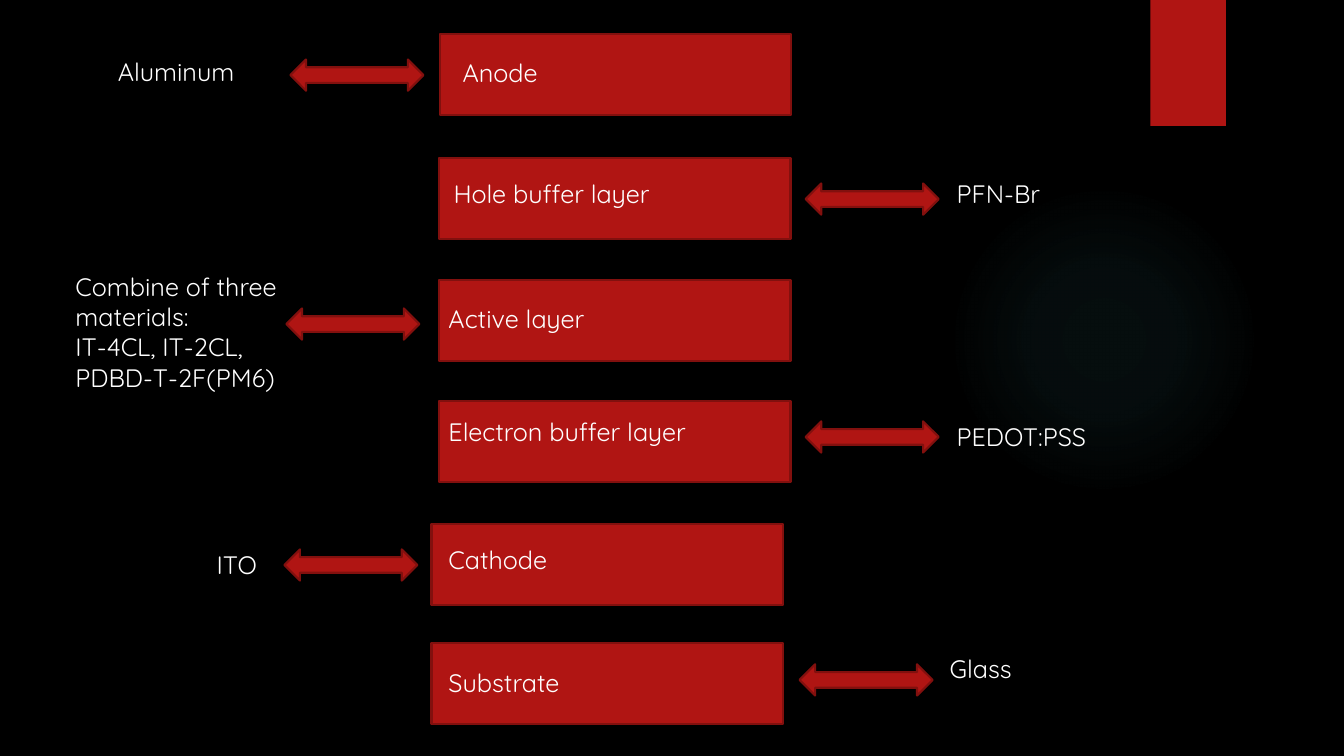
from lxml import etree
from pptx import Presentation
from pptx.dml.color import RGBColor
from pptx.enum import shapes, text
from pptx.oxml import ns
from pptx.util import Inches, Pt

BLACK = RGBColor(0x00, 0x00, 0x00)
WHITE = RGBColor(0xFF, 0xFF, 0xFF)
RED = RGBColor(0xB0, 0x15, 0x13)
DARK = RGBColor(0x82, 0x10, 0x0E)
TEAL = RGBColor(0x50, 0xB9, 0xC1)
FONT = "Quicksand"

# Each layer: name, bar (left, top), name (left, top), arrow (left, top),
# material paragraphs, material (left, top, width)
LAYERS = [
    ("Anode", (4.36, 0.34), (4.49, 0.52), (2.88, 0.59),
     ["Aluminum"], (1.07, 0.51, 1.81)),
    ("Hole buffer layer", (4.35, 1.57), (4.4, 1.72), (7.99, 1.82),
     ["PFN-Br"], (9.39, 1.72, 2.96)),
    ("Active layer", (4.35, 2.78), (4.35, 2.96), (2.84, 3.06),
     ["Combine of three materials:", "IT-4CL, IT-2CL, PDBD-T-2F(PM6)"],
     (0.65, 2.64, 2.25)),
    ("Electron buffer layer", (4.35, 3.98), (4.35, 4.08), (7.99, 4.18),
     ["PEDOT:PSS"], (9.39, 4.13, 2.46)),
    ("Cathode", (4.28, 5.2), (4.35, 5.35), (2.82, 5.45),
     ["ITO"], (2.05, 5.4, 2.15)),
    ("Substrate", (4.28, 6.38), (4.35, 6.57), (7.93, 6.59),
     ["Glass"], (9.32, 6.43, 2.06)),
]
BAR = (3.49, 0.8)
ARROW = (1.32, 0.31)
NAME_W = 3.1
LINE_H = 0.4
GLOW = (9.41, 1.83, 3.08, 3.08)
GLOW_STOPS = [(0, 7), (36, 6), (69, 0)]  # position and opacity, percent
TAB = (11.41, 0, 0.75, 1.25)

KIND = shapes.MSO_SHAPE


def add_form(slide, kind, box, line=DARK):
    form = slide.shapes.add_shape(kind, *map(Inches, box))
    form.shadow.inherit = False
    form.fill.solid()
    form.fill.fore_color.rgb = RED
    if line is None:
        form.line.fill.background()
    else:
        form.line.color.rgb = line
        form.line.width = Pt(1.5)
    return form


def add_text(slide, box, lines):
    frame = slide.shapes.add_textbox(*map(Inches, box)).text_frame
    frame.word_wrap = True
    frame.auto_size = text.MSO_AUTO_SIZE.SHAPE_TO_FIT_TEXT
    frame.text = "\n".join(lines)
    for para in frame.paragraphs:
        para.font.name = FONT
        para.font.size = Pt(18)
        para.font.color.rgb = WHITE


def add_glow(slide):
    """Add a circle that fades out from its centre."""
    glow = add_form(slide, KIND.OVAL, GLOW, None)
    glow.fill.gradient()
    grad = glow.fill._fill._gradFill
    for child in list(grad):
        grad.remove(child)
    stops = etree.SubElement(grad, ns.qn("a:gsLst"))
    for pos, alpha in GLOW_STOPS:
        stop = etree.SubElement(stops, ns.qn("a:gs"), pos=str(pos * 1000))
        tint = etree.SubElement(stop, ns.qn("a:srgbClr"), val=str(TEAL))
        etree.SubElement(tint, ns.qn("a:alpha"), val=str(alpha * 1000))
    ring = etree.SubElement(grad, ns.qn("a:path"), path="circle")
    etree.SubElement(ring, ns.qn("a:fillToRect"),
                     l="50000", t="50000", r="50000", b="50000")


def main():
    deck = Presentation()
    deck.slide_width, deck.slide_height = Inches(13.33), Inches(7.5)
    slide = deck.slides.add_slide(deck.slide_layouts[6])
    slide.background.fill.solid()
    slide.background.fill.fore_color.rgb = BLACK

    add_glow(slide)
    add_form(slide, KIND.RECTANGLE, TAB, None)
    for name, bar, label, arrow, stuff, (left, top, width) in LAYERS:
        add_form(slide, KIND.RECTANGLE, bar + BAR)
        add_text(slide, label + (NAME_W, LINE_H), [name])
        add_form(slide, KIND.LEFT_RIGHT_ARROW, arrow + ARROW)
        height = 1.31 if len(stuff) > 1 else LINE_H
        add_text(slide, (left, top, width, height), stuff)
    deck.save("out.pptx")


if __name__ == "__main__":
    main()
